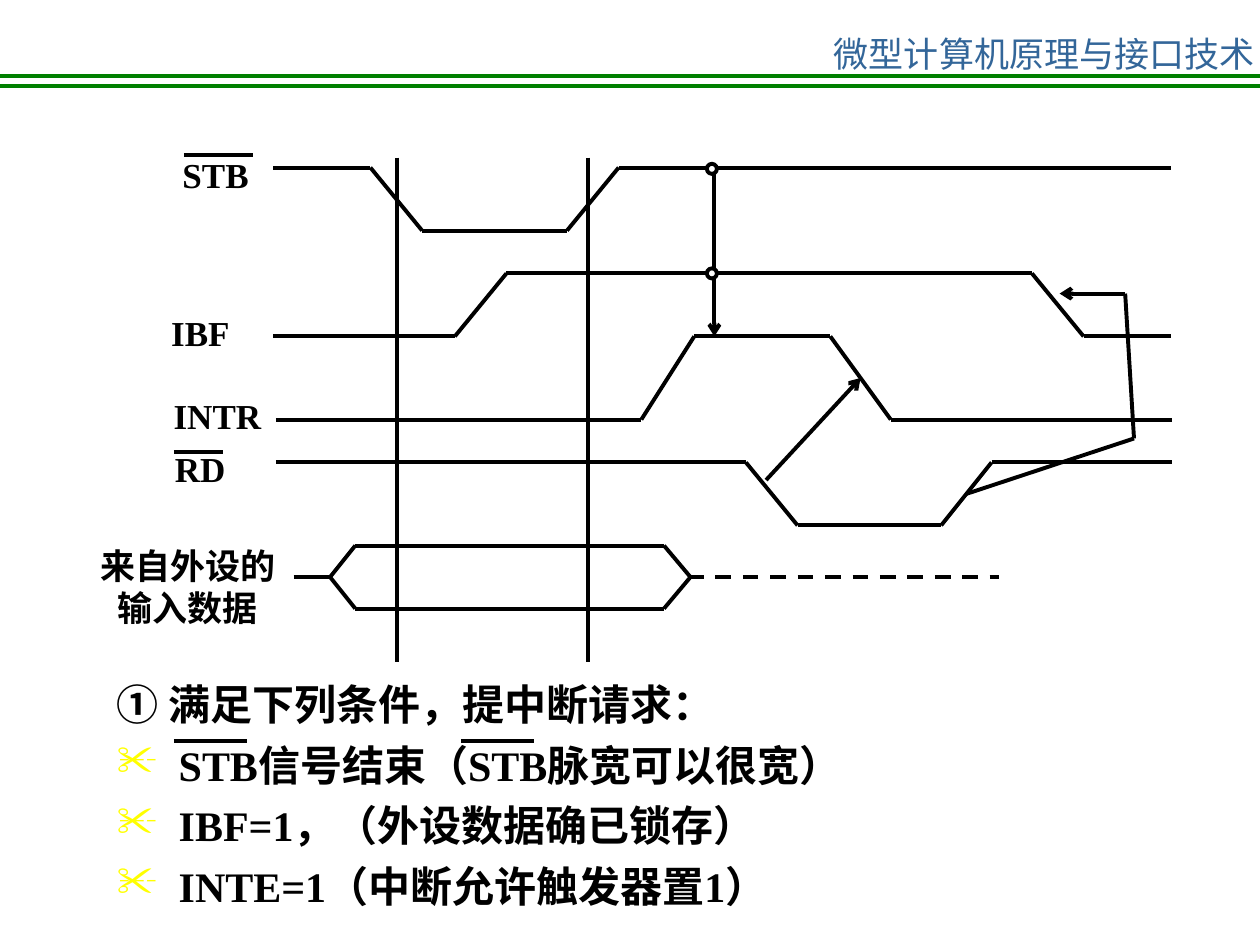
import itertools

import pptx
import pptx.dml.color
import pptx.enum.dml
import pptx.enum.shapes
import pptx.enum.text
import pptx.oxml
import pptx.oxml.ns
import pptx.util

Inches = pptx.util.Inches
Pt = pptx.util.Pt
ALIGN = pptx.enum.text.PP_ALIGN

COLORS = {
    "ink": "000000",
    "paper": "FFFFFF",
    "rule": "008000",
    "header": "336699",
    "bullet": "FFFF00",
}
CJK_FONT = "Noto Sans CJK SC"
HEADER = {"name": CJK_FONT, "size": Pt(20)}
LABEL = {"name": "Times New Roman", "size": Pt(20), "bold": True}
BODY = {"name": "Times New Roman", "size": Pt(24), "bold": True}
NUMBER = {**BODY, "name": "Arial"}

WAVES = {
    "STB": [(2.17, 1.33), (2.94, 1.33), (3.35, 1.83), (4.5, 1.83), (4.91, 1.33), (9.29, 1.33)],
    "IBF": [(2.17, 2.67), (3.61, 2.67), (4.02, 2.17), (8.19, 2.17), (8.6, 2.67), (9.29, 2.67)],
    "INTR": [(2.19, 3.33), (5.09, 3.33), (5.51, 2.67), (6.59, 2.67), (7.07, 3.33), (9.3, 3.33)],
    "RD": [(2.19, 3.67), (5.92, 3.67), (6.33, 4.17), (7.47, 4.17), (7.87, 3.67), (9.3, 3.67)],
    "data lead": [(2.33, 4.58), (2.62, 4.58)],
    "data high": [(2.62, 4.58), (2.82, 4.33), (5.27, 4.33), (5.48, 4.58)],
    "data low": [(2.62, 4.58), (2.82, 4.83), (5.27, 4.83), (5.48, 4.58)],
}
ARROWS = [
    [(6.08, 3.81), (6.83, 3)],
    [(7.67, 3.92), (9, 3.48), (8.93, 2.33), (8.41, 2.33)],
    [(5.67, 1.33), (5.67, 2.67)],
]
OVERBARS = [(1.46, 2.01, 1.23), (1.38, 1.77, 3.59), (1.38, 1.96, 5.88), (3.66, 4.24, 5.88)]
LABELS = [
    ("STB", 1.35, 1.17, 1.46),
    ("IBF", 1.26, 2.42, 1.12),
    ("INTR", 1.28, 3.08, 1.8),
    ("RD", 1.29, 3.5, 1.46),
]
CONDITIONS = [
    "STB信号结束（STB脉宽可以很宽）",
    "IBF=1，（外设数据确已锁存）",
    "INTE=1（中断允许触发器置1）",
]


def rgb(color):
    return pptx.dml.color.RGBColor.from_string(COLORS[color])


def add_xml(parent, tag, content="", **attributes):
    values = "".join(f' {key}="{value}"' for key, value in attributes.items())
    namespace = pptx.oxml.ns.nsdecls("a")
    element = pptx.oxml.parse_xml(f"<a:{tag} {namespace}{values}>{content}</a:{tag}>")
    parent.append(element)


def add_line(page, start, end, color="ink", width=2.25):
    ends = [Inches(value) for value in (*start, *end)]
    line = page.shapes.add_connector(pptx.enum.shapes.MSO_CONNECTOR.STRAIGHT, *ends)
    line.line.color.rgb = rgb(color)
    line.line.width = Pt(width)
    add_xml(line._element.spPr, "effectLst")
    return line


def add_path(page, points, arrow=False):
    for start, end in itertools.pairwise(points):
        line = add_line(page, start, end)
    if arrow:
        add_xml(line.line._get_or_add_ln(), "tailEnd", type="arrow")


def add_node(page, left, top):
    size = Inches(0.08)
    node = page.shapes.add_shape(
        pptx.enum.shapes.MSO_SHAPE.OVAL, Inches(left), Inches(top), size, size
    )
    node.shadow.inherit = False
    node.fill.solid()
    node.fill.fore_color.rgb = rgb("paper")
    node.line.color.rgb = rgb("ink")
    node.line.width = Pt(2.25)


def add_box(page, left, top, width, height):
    box = page.shapes.add_textbox(Inches(left), Inches(top), Inches(width), Inches(height))
    box.text_frame.word_wrap = True
    return box.text_frame


def add_para(frame, first=False, **layout):
    para = frame.paragraphs[0] if first else frame.add_paragraph()
    for name, value in layout.items():
        setattr(para, name, value)
    return para


def add_span(para, text, formats, color="ink"):
    span = para.add_run()
    span.text = text
    for name, value in formats.items():
        setattr(span.font, name, value)
    span.font.color.rgb = rgb(color)
    add_xml(span._r.get_or_add_rPr(), "ea", typeface=CJK_FONT)


def add_bullet(para):
    properties = para._p.get_or_add_pPr()
    indent = Inches(0.49)
    properties.set("marL", str(indent))
    properties.set("indent", str(-indent))
    add_xml(properties, "buClr", f'<a:srgbClr val="{COLORS["bullet"]}"/>')
    add_xml(properties, "buChar", char="✂")


def add_header(page):
    for left, top, width in [(0.59, 0.68, 0.75), (0.57, 0.6, 0.75), (0, 0.68, 2.25), (0, 0.6, 2.25)]:
        add_line(page, (left, top), (10, top), "rule", width)
    frame = add_box(page, 6.52, 0.21, 3.56, 0.4)
    add_span(add_para(frame, first=True), "微型计算机原理与接口技术", HEADER, "header")


def add_diagram(page):
    for points in WAVES.values():
        add_path(page, points)
    for x in (3.15, 4.67):
        add_line(page, (x, 1.25), (x, 5.25))
    dashes = add_line(page, (5.46, 4.58), (7.93, 4.58))
    dashes.line.dash_style = pptx.enum.dml.MSO_LINE.DASH
    for points in ARROWS:
        add_path(page, points, arrow=True)
    for top in (1.3, 2.13):
        add_node(page, 5.61, top)
    for left, right, y in OVERBARS:
        add_line(page, (left, y), (right, y))
    for text, left, top, width in LABELS:
        frame = add_box(page, left, top, width, 0.44)
        add_span(add_para(frame, first=True), text, LABEL)
    frame = add_box(page, 0.42, 4.27, 2.14, 0.77)
    for index, text in enumerate(["来自外设的", "输入数据"]):
        para = add_para(frame, index == 0, alignment=ALIGN.CENTER, line_spacing=Pt(24))
        add_span(para, text, LABEL)


def add_conditions(page):
    layout = {"alignment": ALIGN.JUSTIFY, "line_spacing": Pt(34.8)}
    frame = add_box(page, 0.83, 5.25, 6.7, 2.02)
    title = add_para(frame, first=True, **layout)
    add_span(title, "① ", NUMBER)
    add_span(title, "满足下列条件，提中断请求：", BODY)
    for text in CONDITIONS:
        para = add_para(frame, **layout)
        add_bullet(para)
        add_span(para, text, BODY)


def main():
    deck = pptx.Presentation()
    deck.slide_width = Inches(10)
    deck.slide_height = Inches(7.5)
    page = deck.slides.add_slide(deck.slide_layouts[6])
    add_header(page)
    add_conditions(page)
    add_diagram(page)
    deck.save("out.pptx")


if __name__ == "__main__":
    main()
